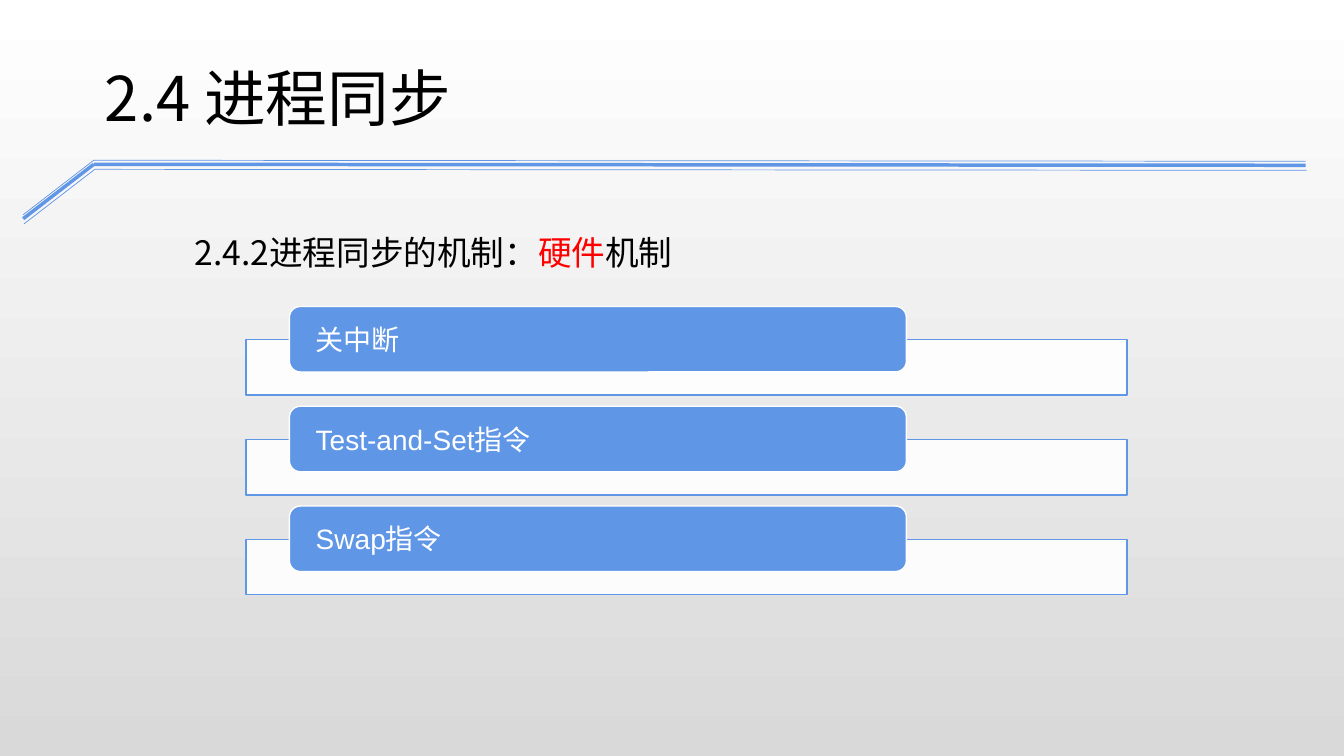
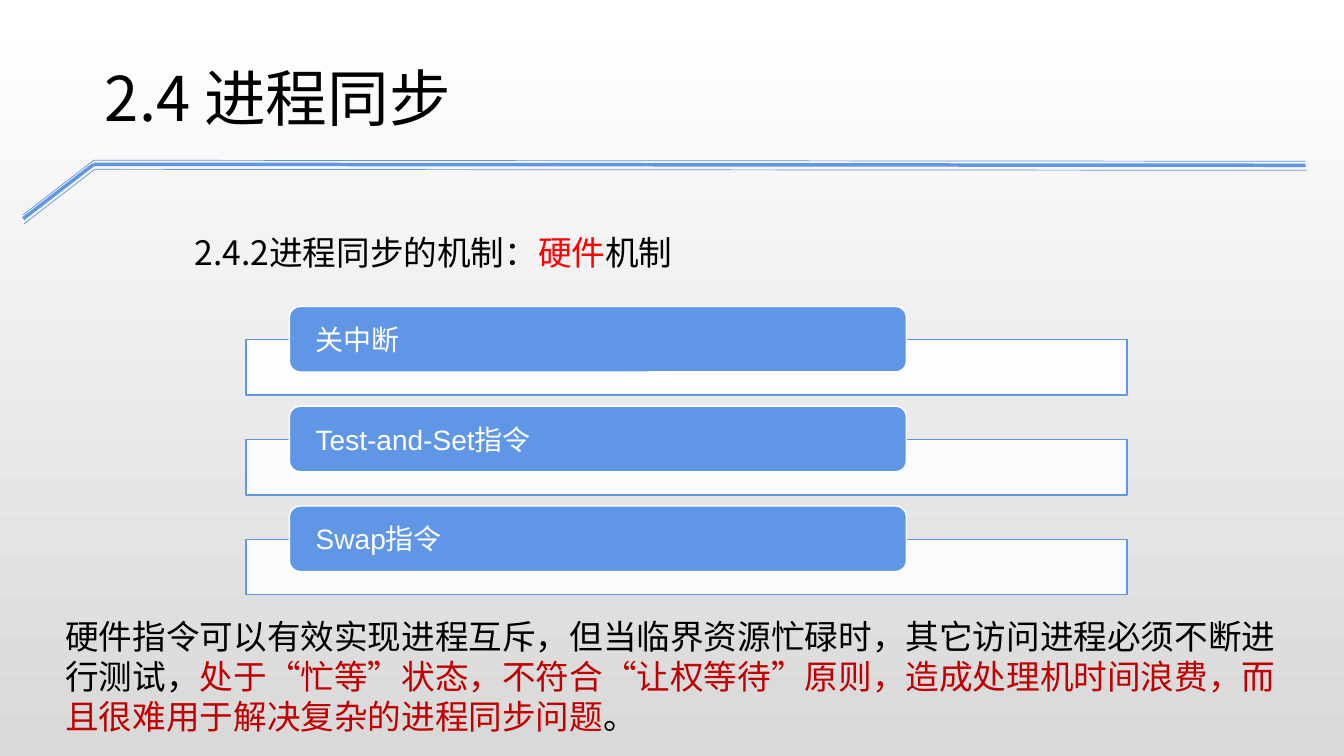
from dataclasses import dataclass

from lxml import etree
from pptx import Presentation
from pptx.dml.color import RGBColor
from pptx.enum.lang import MSO_LANGUAGE_ID
from pptx.enum.shapes import MSO_CONNECTOR, MSO_SHAPE
from pptx.enum.text import MSO_ANCHOR, MSO_AUTO_SIZE, PP_ALIGN
from pptx.oxml.ns import qn
from pptx.util import Inches, Pt

STRAIGHT = MSO_CONNECTOR.STRAIGHT
RECTANGLE, ROUNDED = MSO_SHAPE.RECTANGLE, MSO_SHAPE.ROUNDED_RECTANGLE
TOP, MIDDLE = MSO_ANCHOR.TOP, MSO_ANCHOR.MIDDLE
LEFT = PP_ALIGN.LEFT
NO_AUTOFIT = MSO_AUTO_SIZE.NONE
CHINESE = MSO_LANGUAGE_ID.SIMPLIFIED_CHINESE


@dataclass(frozen=True)
class Theme:
    blue: str = "6096E6"
    white: str = "FFFFFF"
    gray: str = "D9D9D9"
    black: str = "000000"
    red: str = "FF0000"
    dark_red: str = "C00000"
    latin: str = "Arial"
    chinese: str = "Noto Sans CJK JP"
    title_size: int = 44
    body_size: int = 24
    label_size: int = 20


@dataclass(frozen=True)
class Box:
    left: float
    top: float
    width: float
    height: float

    def lengths(self) -> tuple:
        return tuple(map(Inches, (self.left, self.top, self.width, self.height)))


@dataclass(frozen=True)
class Run:
    text: str
    color: str


@dataclass(frozen=True)
class Stroke:
    left: float
    top: float
    weight: float


THEME = Theme()
TITLE_BOX = Box(0.94, 0.63, 9.52, 0.84)
HEADING_BOX = Box(1.83, 2.05, 11.45, 0.71)
NOTE_BOX = Box(0.55, 6.06, 12.52, 1.31)
STROKES = [Stroke(0.23, 1.59, 0.5), Stroke(0.23, 1.63, 2.5), Stroke(0.24, 1.68, 0.5)]
STROKE_POINTS = [(0, 0.54), (0.7, 0), (12.72, 0.01)]
MECHANISMS = ["关中断", "Test-and-Set指令", "Swap指令"]
MECHANISM_TOP, MECHANISM_PITCH = 3.04, 0.99

TITLE = [Run("2.4 进程同步", THEME.black)]
HEADING = [
    Run("2.4.2进程同步的机制：", THEME.black),
    Run("硬件", THEME.red),
    Run("机制", THEME.black),
]
NOTE = [
    Run("硬件指令可以有效实现进程互斥，但当临界资源忙碌时，其它访问进程必须不断进行测试，",
        THEME.black),
    Run("处于“忙等”状态，不符合“让权等待”原则，造成处理机时间浪费，"
        "而且很难用于解决复杂的进程同步问题", THEME.dark_red),
    Run("。", THEME.black),
]


def rgb(color: str) -> RGBColor:
    return RGBColor.from_string(color)


def write_text(shape, runs: list[Run], size: int, font_name: str,
               line_spacing=1.0, anchor=TOP, side_inset=0.1, end_inset=0.05) -> None:
    frame = shape.text_frame
    frame_format = {
        "word_wrap": True,
        "auto_size": NO_AUTOFIT,
        "vertical_anchor": anchor,
        "margin_left": Inches(side_inset),
        "margin_right": Inches(side_inset),
        "margin_top": Inches(end_inset),
        "margin_bottom": Inches(end_inset),
    }
    for name, value in frame_format.items():
        setattr(frame, name, value)
    paragraph = frame.paragraphs[0]
    paragraph_format = {
        "alignment": LEFT, "line_spacing": line_spacing, "space_before": Pt(0),
    }
    for name, value in paragraph_format.items():
        setattr(paragraph, name, value)
    for item in runs:
        run = paragraph.add_run()
        run.text = item.text
        font_format = {"size": Pt(size), "name": font_name, "language_id": CHINESE}
        for name, value in font_format.items():
            setattr(run.font, name, value)
        run.font.color.rgb = rgb(item.color)
        latin = run.font._element.find(qn("a:latin"))
        east_asian = etree.Element(qn("a:ea"), typeface=THEME.chinese)
        latin.addnext(east_asian)


def place(shape, box: Box) -> None:
    for name, value in zip(("left", "top", "width", "height"), box.lengths()):
        setattr(shape, name, value)


def remove_bullet(paragraph) -> None:
    properties = paragraph._p.get_or_add_pPr()
    properties.set("marL", "0")
    properties.set("indent", "0")
    etree.SubElement(properties, qn("a:buNone"))


def add_box(slide, preset, box: Box, fill: str, line: str):
    shape = slide.shapes.add_shape(preset, *box.lengths())
    shape.shadow.inherit = False
    shape.fill.solid()
    shape.fill.fore_color.rgb = rgb(fill)
    shape.line.color.rgb = rgb(line)
    shape.line.width = Pt(1)
    return shape


def set_opacity(shape, percent: int) -> None:
    color = shape._element.spPr.find(qn("a:solidFill"))[0]
    etree.SubElement(color, qn("a:alpha"), val=str(percent * 1000))


def add_title_rule(slide) -> None:
    for stroke in STROKES:
        points = [(Inches(stroke.left + x), Inches(stroke.top + y))
                  for x, y in STROKE_POINTS]
        for start, end in zip(points, points[1:]):
            connector = slide.shapes.add_connector(STRAIGHT, *start, *end)
            connector.line.color.rgb = rgb(THEME.blue)
            connector.line.width = Pt(stroke.weight)
            etree.SubElement(connector._element.spPr, qn("a:effectLst"))


def add_mechanisms(slide) -> None:
    for index, name in enumerate(MECHANISMS):
        top = MECHANISM_TOP + index * MECHANISM_PITCH
        panel = add_box(slide, RECTANGLE, Box(2.44, top + 0.33, 8.74, 0.55),
                        THEME.white, THEME.blue)
        set_opacity(panel, 90)
        label = add_box(slide, ROUNDED, Box(2.87, top, 6.12, 0.65),
                        THEME.blue, THEME.white)
        write_text(label, [Run(name, THEME.white)], THEME.label_size, THEME.latin,
                   anchor=MIDDLE, side_inset=0.23, end_inset=0)


def add_mechanism_slide(presentation):
    slide = presentation.slides.add_slide(presentation.slide_layouts[1])
    add_title_rule(slide)
    title, heading = slide.shapes.title, slide.placeholders[1]
    place(title, TITLE_BOX)
    write_text(title, TITLE, THEME.title_size, THEME.chinese, line_spacing=0.9)
    place(heading, HEADING_BOX)
    remove_bullet(heading.text_frame.paragraphs[0])
    write_text(heading, HEADING, THEME.body_size, THEME.chinese, line_spacing=1.5)
    add_mechanisms(slide)
    return slide


def add_note(slide) -> None:
    note = slide.shapes.add_textbox(*NOTE_BOX.lengths())
    write_text(note, NOTE, THEME.body_size, THEME.latin, line_spacing=Pt(28.6))


def set_background(presentation) -> None:
    fill = presentation.slide_master.background.fill
    fill.gradient()
    fill.gradient_angle = 270
    for stop, color in zip(fill.gradient_stops, (THEME.white, THEME.gray)):
        stop.color.rgb = rgb(color)


def main() -> None:
    presentation = Presentation()
    presentation.slide_width = Inches(13.33)
    presentation.slide_height = Inches(7.5)
    set_background(presentation)
    add_mechanism_slide(presentation)
    add_note(add_mechanism_slide(presentation))
    presentation.save("out.pptx")


if __name__ == "__main__":
    main()
